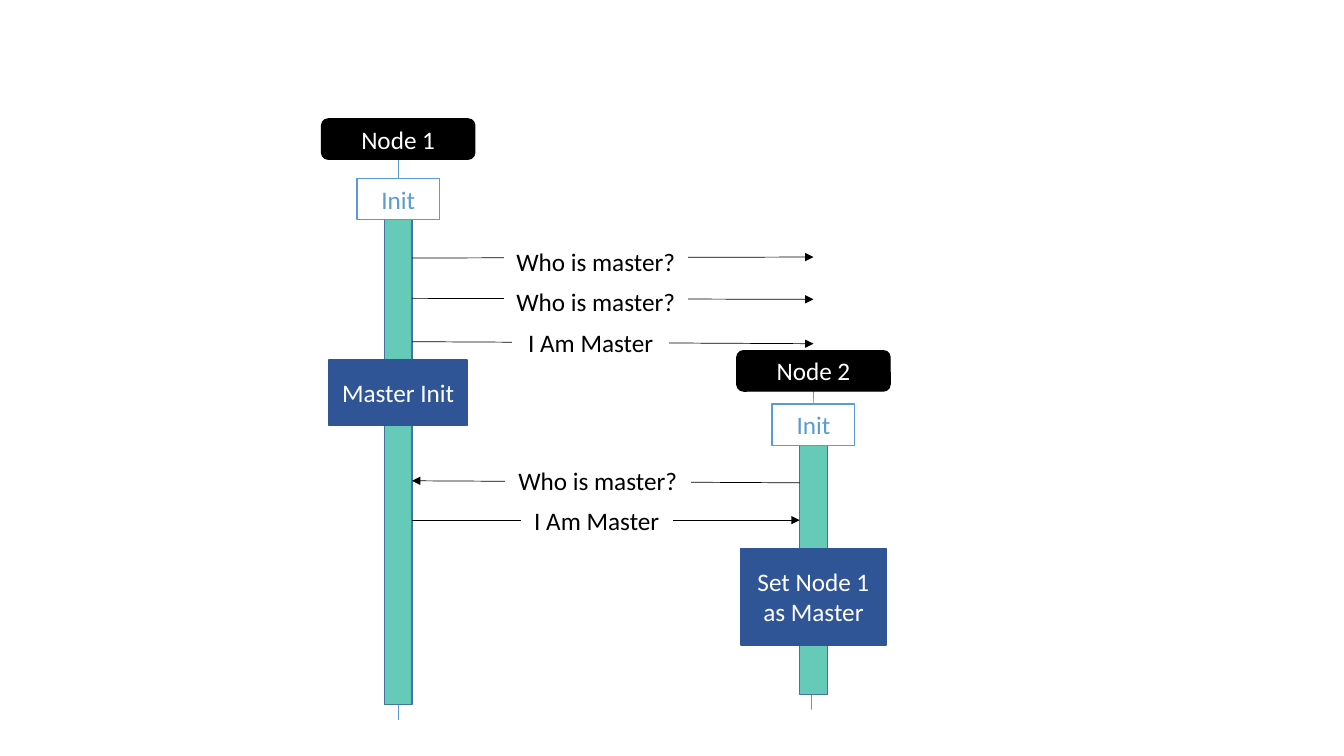
import pptx
import pptx.dml.color
import pptx.enum.shapes
import pptx.enum.text
import pptx.oxml
import pptx.oxml.ns
import pptx.util

RGBColor = pptx.dml.color.RGBColor
SHAPE = pptx.enum.shapes.MSO_SHAPE

BLACK = RGBColor(0x00, 0x00, 0x00)
WHITE = RGBColor(0xFF, 0xFF, 0xFF)
SKY = RGBColor(0x5B, 0x9B, 0xD5)
STEEL = RGBColor(0x43, 0x73, 0x9E)
NAVY = RGBColor(0x2F, 0x55, 0x97)
MINT = RGBColor(0x66, 0xCA, 0xB9)

CELL = pptx.util.Inches(0.1)
COLUMNS, ROWS = 133.33, 75
HEADER_ROWS, INIT_COLUMNS, INIT_ROWS = 4, 8.2, 4.1
BAR_COLUMNS, TAIL_ROWS = 2.75, 1.5
TEXT_FORMAT = {"size": pptx.util.Pt(18), "name": "Calibri"}


def cells(*counts):
    return [round(count * CELL) for count in counts]


def add_block(slide, box, fill, outline, text="", ink=WHITE, preset=SHAPE.RECTANGLE):
    block = slide.shapes.add_shape(preset, *cells(*box))
    block.shadow.inherit = False
    block.fill.solid()
    block.fill.fore_color.rgb = fill
    block.line.color.rgb = outline
    block.line.width = pptx.util.Pt(1)
    if text:
        frame = block.text_frame
        frame.word_wrap = True
        frame.vertical_anchor = pptx.enum.text.MSO_ANCHOR.MIDDLE
        paragraph = frame.paragraphs[0]
        paragraph.alignment = pptx.enum.text.PP_ALIGN.CENTER
        run = paragraph.add_run()
        run.text = text
        for attribute, value in TEXT_FORMAT.items():
            setattr(run.font, attribute, value)
        run.font.color.rgb = ink


def add_line(slide, start, end, color, arrow=False):
    line = slide.shapes.add_connector(
        pptx.enum.shapes.MSO_CONNECTOR.STRAIGHT, *cells(*start, *end))
    line.line.color.rgb = color
    line.line.width = pptx.util.Pt(0.5)
    properties = line._element.spPr
    if arrow:
        head = pptx.oxml.parse_xml(
            f'<a:tailEnd {pptx.oxml.ns.nsdecls("a")} type="triangle"/>')
        line.line._get_or_add_ln().append(head)
    properties.append(pptx.oxml.parse_xml(
        f'<a:effectLst {pptx.oxml.ns.nsdecls("a")}/>'))


def add_lifeline(slide, box, node, init_gap, lean, state, state_box):
    left, top, width, height = box
    center = left + width / 2
    bottom = top + height
    init_top = top + HEADER_ROWS + init_gap
    bar_top = init_top + INIT_ROWS / 2
    add_line(slide, (center, top + HEADER_ROWS), (center + lean, bottom), SKY)
    add_block(slide, (center - BAR_COLUMNS / 2, bar_top, BAR_COLUMNS,
                      bottom - TAIL_ROWS - bar_top), MINT, STEEL)
    add_block(slide, (left, top, width, HEADER_ROWS), BLACK, BLACK, node,
              preset=SHAPE.ROUNDED_RECTANGLE)
    add_block(slide, (center - INIT_COLUMNS / 2, init_top, INIT_COLUMNS, INIT_ROWS),
              WHITE, SKY, "Init", SKY)
    state_top, state_width, state_height = state_box
    add_block(slide, (center - state_width / 2, top + state_top, state_width,
                      state_height), NAVY, NAVY, state)


def add_message(slide, start, end, text, label_box):
    center, middle, width, height = label_box
    add_line(slide, start, end, BLACK, arrow=True)
    add_block(slide, (center - width / 2, middle - height / 2, width, height),
              WHITE, WHITE, text, BLACK)


def build_election_slide(slide):
    node_1 = (31.9, 11.8, 15.2, 59.6)
    node_2 = (73.1, 34.8, 15.2, 35.6)
    add_lifeline(slide, node_1, "Node 1", 1.9, 0, "Master Init", (23.9, 13.7, 6.5))
    add_lifeline(slide, node_2, "Node 2", 1.3, -0.2, "Set Node 1 as Master",
                 (19.6, 14.4, 9.6))

    axis_2 = node_2[0] + node_2[2] / 2
    edge_1 = node_1[0] + node_1[2] / 2 + BAR_COLUMNS / 2
    edge_2 = axis_2 - BAR_COLUMNS / 2
    question, answer = "Who is master?", "I Am Master"
    messages = [
        (edge_1, 25.6, axis_2, 25.5, question, (59.1, 25.9, 18.1, 2.5)),
        (edge_1, 29.6, axis_2, 29.7, question, (59.1, 29.9, 18.1, 3)),
        (edge_1, 33.9, axis_2, 34.1, answer, (58.6, 34, 15.4, 3)),
        (edge_2, 47.9, edge_1, 47.7, question, (59.3, 47.7, 18.3, 3)),
        (edge_1, 51.6, edge_2, 51.6, answer, (59.2, 51.6, 14.9, 3)),
    ]
    for from_x, from_y, to_x, to_y, text, label_box in messages:
        add_message(slide, (from_x, from_y), (to_x, to_y), text, label_box)


presentation = pptx.Presentation()
presentation.slide_width, presentation.slide_height = cells(COLUMNS, ROWS)
build_election_slide(presentation.slides.add_slide(presentation.slide_layouts[6]))
presentation.save("out.pptx")
